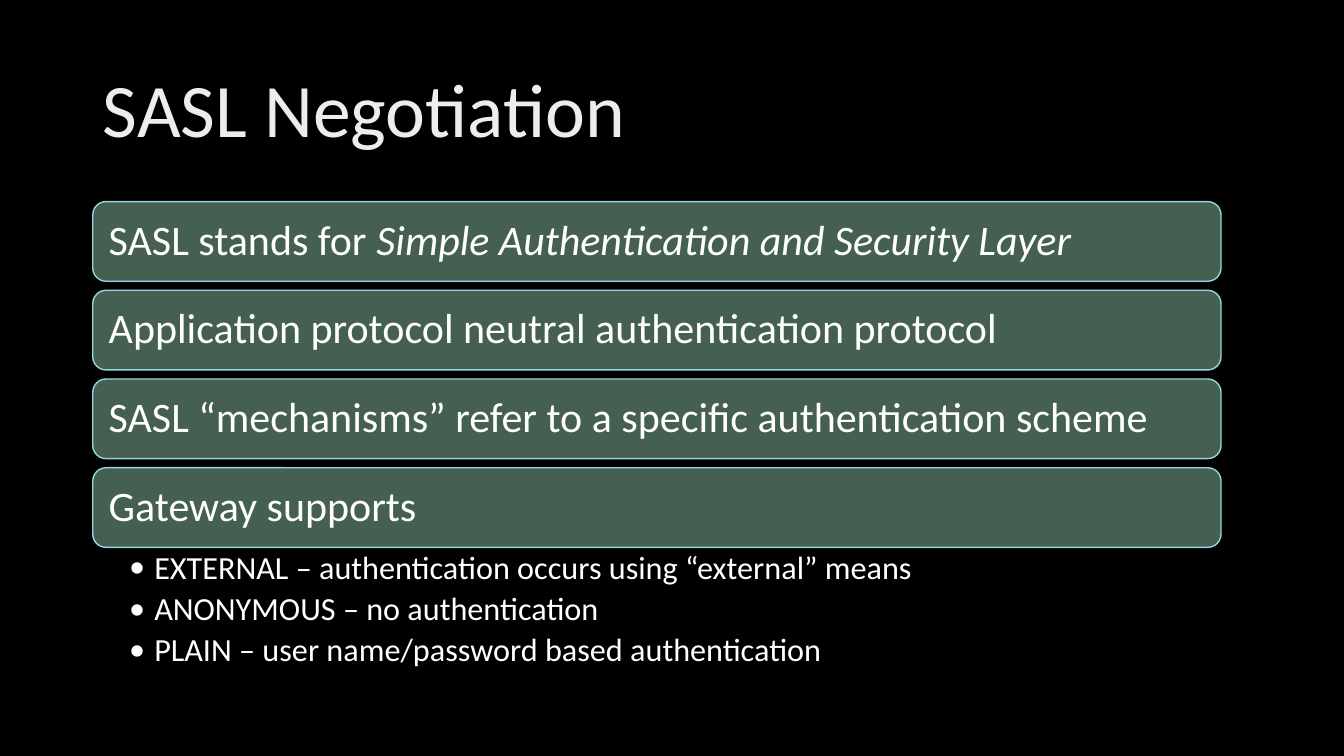
from lxml.etree import SubElement
from pptx import Presentation
from pptx.dml.color import RGBColor
from pptx.enum.shapes import MSO_SHAPE
from pptx.enum.text import MSO_ANCHOR, PP_ALIGN
from pptx.oxml.ns import qn
from pptx.util import Inches, Pt

TITLE = "SASL Negotiation"
# Each card is a list of (text, italic) runs
CARDS = [
    [("SASL stands for ", False),
     ("Simple Authentication and Security Layer", True)],
    [("Application protocol neutral authentication protocol", False)],
    [("SASL “mechanisms” refer to a specific authentication scheme", False)],
    [("Gateway supports", False)],
]
POINTS = [
    "EXTERNAL – authentication occurs using “external” means",
    "ANONYMOUS – no authentication",
    "PLAIN – user name/password based authentication",
]

FONT = "Calibri"
BLACK = RGBColor(0x00, 0x00, 0x00)
WHITE = RGBColor(0xFF, 0xFF, 0xFF)
PALE = RGBColor(0xED, 0xED, 0xED)
GREEN = RGBColor(0x45, 0x5F, 0x51)
AQUA = RGBColor(0x94, 0xD7, 0xE4)

LEFT, TOP, WIDTH = 0.92, 2, 11.19
CARD_H, STEP = 0.79, 0.88


def add_run(para, text, size, color=WHITE, italic=None):
    run = para.add_run()
    run.text = text
    font = run.font
    font.name, font.size, font.italic = FONT, Pt(size), italic
    font.color.rgb = color


def set_frame(frame, anchor, left, top, right, bottom):
    """Wrap the text and set its anchor and insets in inches."""
    frame.word_wrap = True
    frame.vertical_anchor = anchor
    frame.margin_left, frame.margin_top = Inches(left), Inches(top)
    frame.margin_right, frame.margin_bottom = Inches(right), Inches(bottom)


def set_para(para):
    para.alignment = PP_ALIGN.LEFT
    para.line_spacing = 0.9


def add_card(slide, top, runs):
    card = slide.shapes.add_shape(
        MSO_SHAPE.ROUNDED_RECTANGLE,
        Inches(LEFT), Inches(top), Inches(WIDTH), Inches(CARD_H))
    card.shadow.inherit = False
    card.fill.solid()
    card.fill.fore_color.rgb = GREEN
    card.line.color.rgb = AQUA
    card.line.width = Pt(1)
    set_frame(card.text_frame, MSO_ANCHOR.MIDDLE, 0.12, 0.12, 0.12, 0.12)
    para = card.text_frame.paragraphs[0]
    set_para(para)
    for text, italic in runs:
        add_run(para, text, 30, italic=italic)


def add_points(slide, top):
    box = slide.shapes.add_textbox(
        Inches(LEFT), Inches(top), Inches(WIDTH), Inches(1.32))
    frame = box.text_frame
    set_frame(frame, MSO_ANCHOR.TOP, 0.36, 0.04, 0.23, 0.04)
    for i, text in enumerate(POINTS):
        para = frame.add_paragraph() if i else frame.paragraphs[0]
        set_para(para)
        para.level = 1
        para.space_after = Pt(4.6)
        props = para._p.get_or_add_pPr()
        props.set("marL", str(Inches(0.25)))
        props.set("indent", str(Inches(-0.25)))
        SubElement(props, qn("a:buFont"), typeface=FONT)
        SubElement(props, qn("a:buChar"), char="•")
        add_run(para, text, 23)


def main():
    deck = Presentation()
    deck.slide_width, deck.slide_height = Inches(13.33), Inches(7.5)
    slide = deck.slides.add_slide(deck.slide_layouts[5])
    slide.background.fill.solid()
    slide.background.fill.fore_color.rgb = BLACK

    title = slide.shapes.title
    title.left, title.top = Inches(LEFT), Inches(0.4)
    title.width, title.height = Inches(11.5), Inches(1.45)
    set_frame(title.text_frame, MSO_ANCHOR.MIDDLE, 0.1, 0.05, 0.1, 0.05)
    para = title.text_frame.paragraphs[0]
    set_para(para)
    add_run(para, TITLE, 54, PALE)

    for i, runs in enumerate(CARDS):
        add_card(slide, TOP + i * STEP, runs)
    add_points(slide, TOP + (len(CARDS) - 1) * STEP + CARD_H)
    deck.save("out.pptx")


if __name__ == "__main__":
    main()
